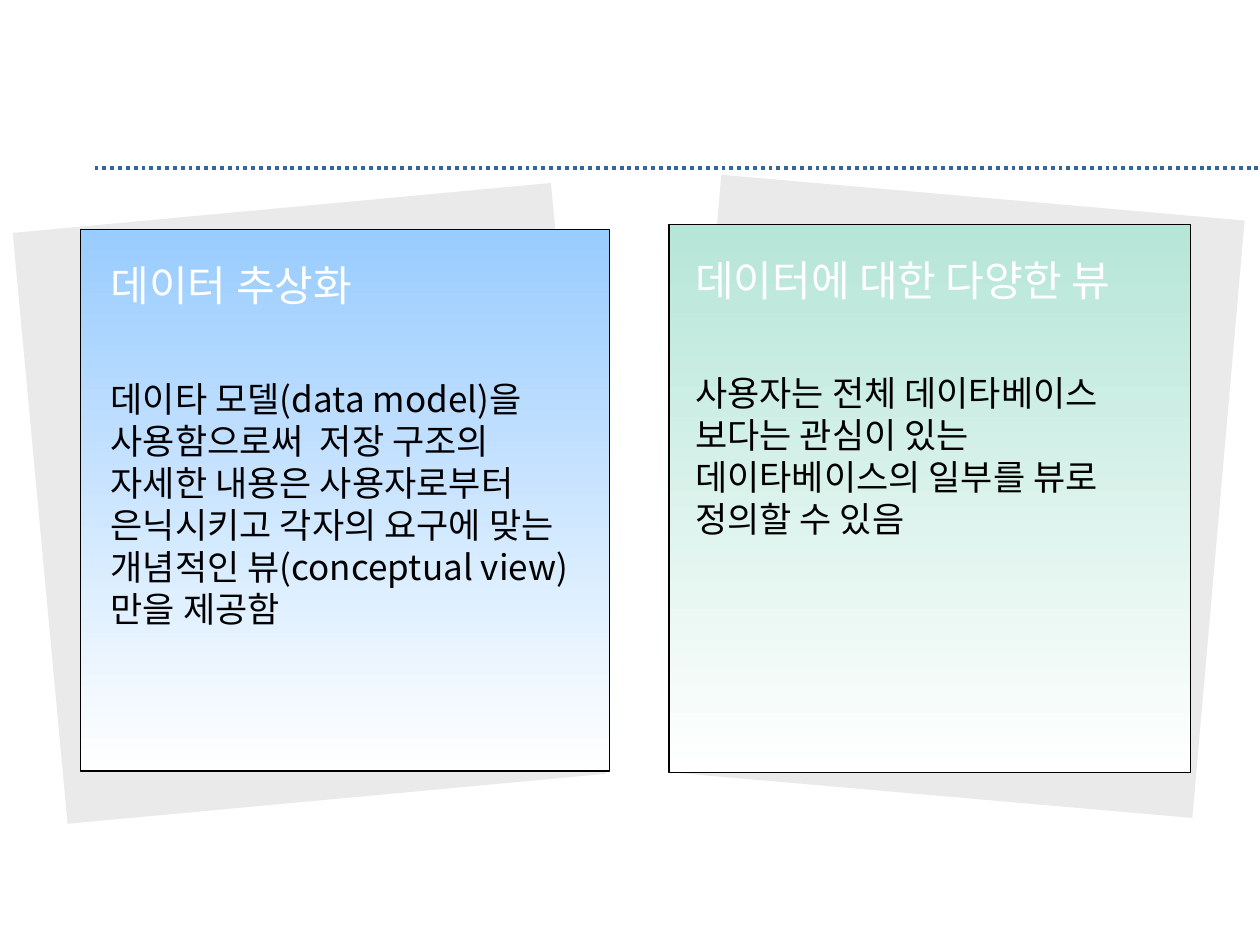
from lxml.etree import SubElement
from pptx import Presentation
from pptx.dml.color import RGBColor
from pptx.enum.dml import MSO_LINE
from pptx.enum.shapes import MSO_CONNECTOR, MSO_SHAPE
from pptx.oxml.ns import qn
from pptx.util import Pt

FONT = "Noto Sans CJK KR"
WHITE = RGBColor(0xFF, 0xFF, 0xFF)
BLACK = RGBColor(0, 0, 0)
GRAY = RGBColor(0xEA, 0xEA, 0xEA)
NAVY = RGBColor(0x33, 0x66, 0x99)
BLUE = RGBColor(0x99, 0xCC, 0xFF)
MINT = RGBColor(0xB6, 0xE6, 0xD8)

# Content: boxes are left, top, width, height in points
CARDS = [
    dict(title="데이터 추상화",
         body="데이타 모델(data model)을 사용함으로써  저장 구조의 자세한 내용은 "
              "사용자로부터 은닉시키고 각자의 요구에 맞는 개념적인 뷰"
              "(conceptual view)만을 제공함",
         color=BLUE, tilt=-5.3, sheet=(22.3, 118.1, 308.9, 339.1),
         panel=(46, 131, 302.4, 309.6), text=(56.2, 144.7, 285.8, 218.9)),
    dict(title="데이터에 대한 다양한 뷰",
         body="사용자는 전체 데이타베이스 보다는 관심이 있는 데이타베이스의 "
              "일부를 뷰로 정의할 수 있음",
         color=MINT, tilt=5, sheet=(396.7, 112.3, 300.2, 342.7),
         panel=(382.3, 128.2, 298, 313.2), text=(390.2, 141.8, 301.7, 170.6)),
]
LINE_RATIO = 1.2
BODY_GAP = 38.4

prs = Presentation()
prs.slide_width, prs.slide_height = Pt(720), Pt(540)
s = prs.slides.add_slide(prs.slide_layouts[6])


def add_rect(box):
    sp = s.shapes.add_shape(MSO_SHAPE.RECTANGLE, *map(Pt, box))
    sp.shadow.inherit = False
    return sp


def style_paragraph(p, size, color):
    p.line_spacing = Pt(size * LINE_RATIO)
    r = p.runs[0]
    r.font.size, r.font.name = Pt(size), FONT
    r.font.color.rgb = color
    SubElement(r.font._element, qn("a:ea")).set("typeface", FONT)


# Dotted rule under the title area
rule = s.shapes.add_connector(MSO_CONNECTOR.STRAIGHT, Pt(54), Pt(96), Pt(720), Pt(96))
rule.line.color.rgb = NAVY
rule.line.width = Pt(2.25)
rule.line.dash_style = MSO_LINE.ROUND_DOT
SubElement(rule._element.spPr, qn("a:effectLst"))

for card in CARDS:
    # Tilted sheet behind
    sheet = add_rect(card["sheet"])
    sheet.rotation = card["tilt"]
    sheet.fill.solid()
    sheet.fill.fore_color.rgb = GRAY
    sheet.line.fill.background()

    # Gradient panel
    panel = add_rect(card["panel"])
    panel.fill.gradient()
    panel.fill.gradient_angle = 270
    for stop, color in zip(panel.fill.gradient_stops, (card["color"], WHITE)):
        stop.color.rgb = color
    panel.line.color.rgb = BLACK
    panel.line.width = Pt(0.75)

    # Heading and body
    tf = s.shapes.add_textbox(*map(Pt, card["text"])).text_frame
    tf.word_wrap = True
    p = tf.paragraphs[0]
    p.text = card["title"]
    style_paragraph(p, 24, WHITE)
    p = tf.add_paragraph()
    p.text = card["body"]
    p.space_before = Pt(BODY_GAP)
    style_paragraph(p, 20, BLACK)

prs.save("out.pptx")
